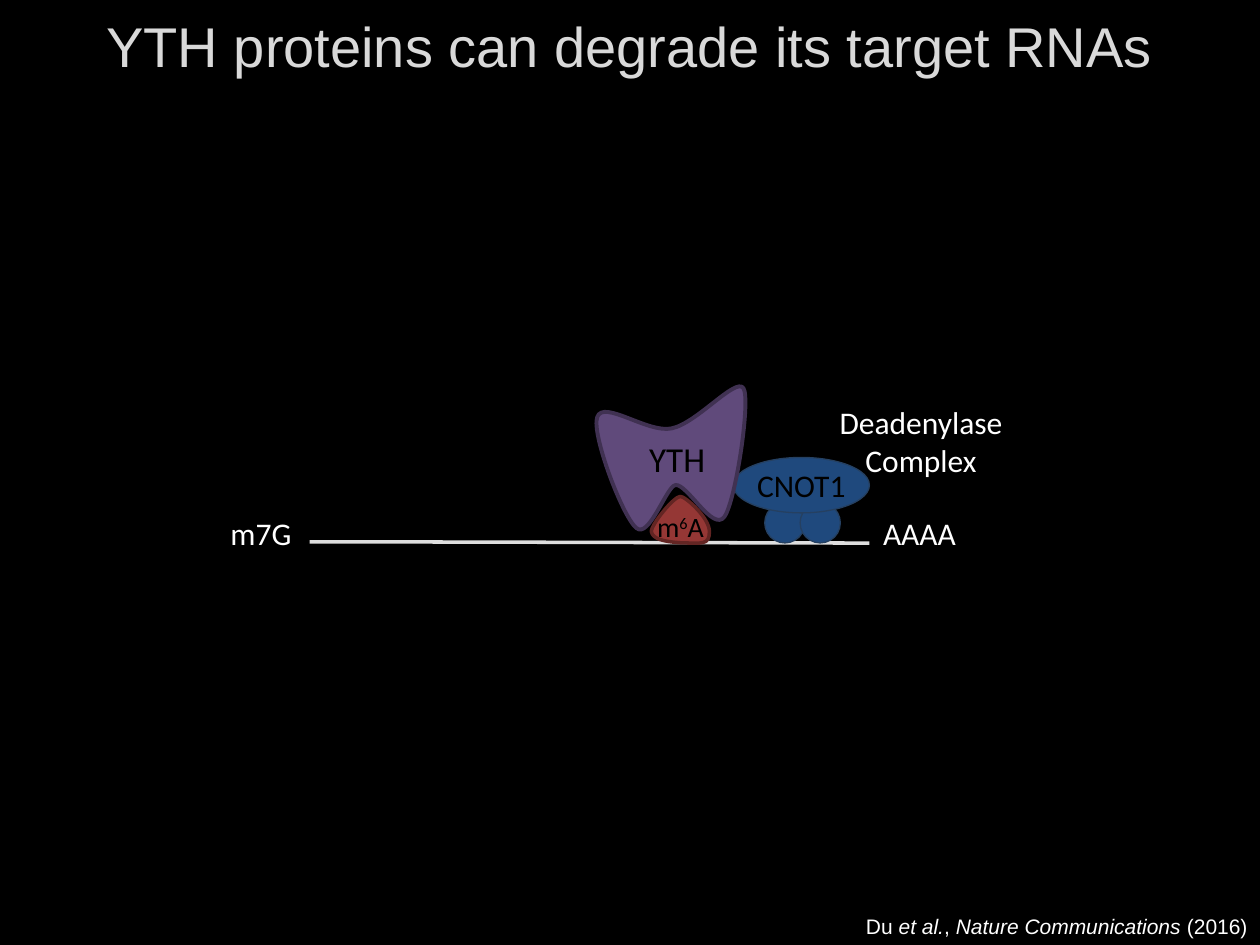
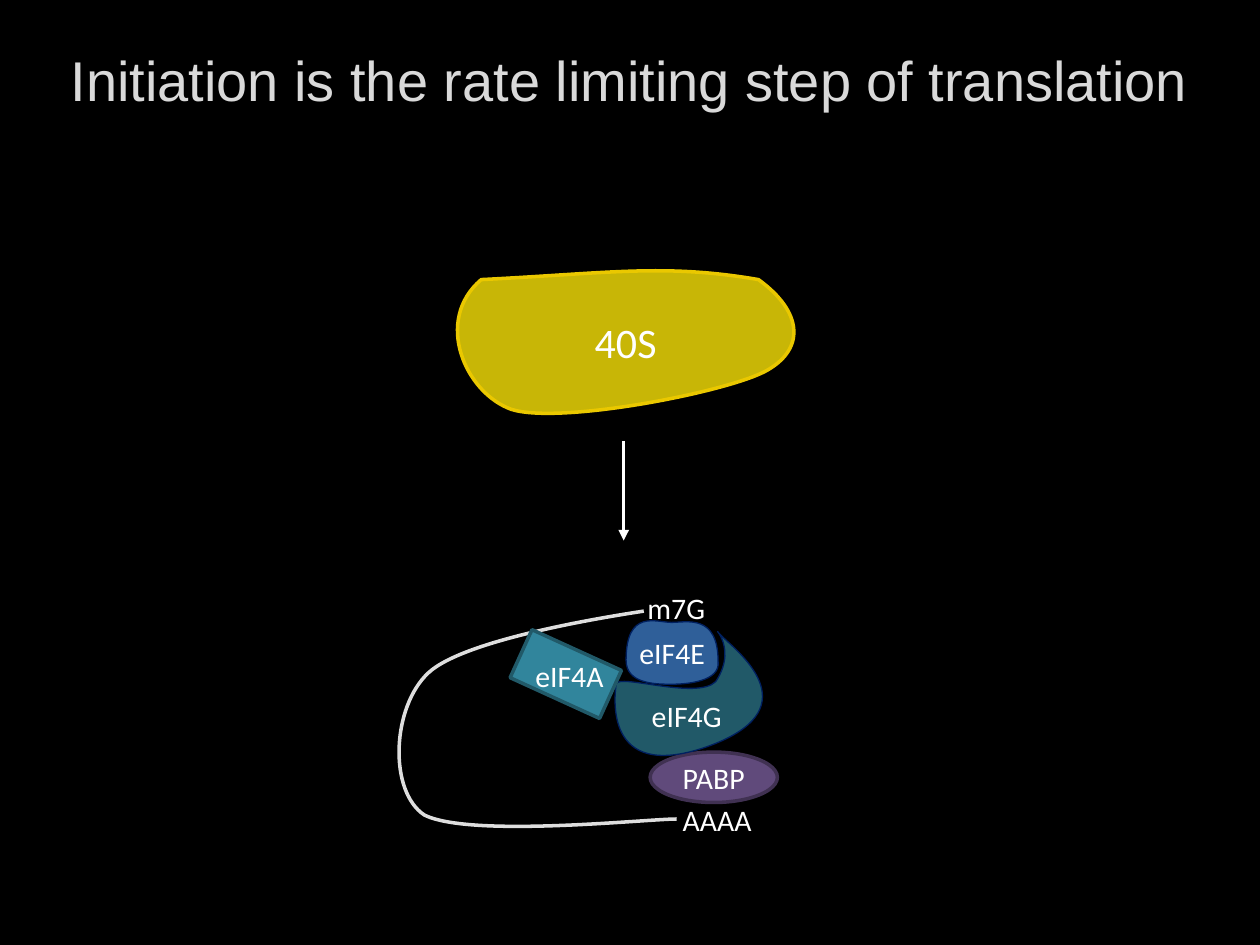
from dataclasses import dataclass
from lxml.etree import SubElement
from pptx import Presentation
from pptx.dml.color import RGBColor
from pptx.enum.shapes import MSO_CONNECTOR, MSO_SHAPE
from pptx.enum.text import MSO_ANCHOR as ANCHOR, MSO_AUTO_SIZE, PP_ALIGN as ALIGN
from pptx.oxml.ns import qn
from pptx.util import Pt


@dataclass(frozen=True)
class Theme:
    background: str = "000000"
    title: str = "D9D9D9"
    light: str = "FFFFFF"
    dark: str = "000000"
    strand: str = "DEDEDE"
    purple: tuple = ("604A7B", "403152")
    navy: tuple = ("1F497D", "254061")
    red: tuple = ("953735", "632523")
    blue: tuple = ("2F5F99", "002060")
    deep_teal: tuple = ("215968", "002060")
    teal: tuple = ("31859C", "215968")
    yellow: tuple = ("C8B606", "EAC800")
    heading_font: str = "Arial"
    label_font: str = "Calibri"
    title_size: int = 32
    subunit_size: int = 24
    yth_size: int = 20
    label_size: int = 18
    factor_size: int = 17
    mark_size: int = 16
    citation_size: int = 12


THEME = Theme()
NO_INSETS = dict(margin_left=0, margin_top=0, margin_right=0, margin_bottom=0)


def assign(target, values):
    for key, value in values.items():
        setattr(target, key, value)


def write(shape, runs, size, color, align=ALIGN.CENTER, font=THEME.label_font, **frame):
    """Fill a shape with one paragraph; runs is a string or (text, format) pairs."""
    assign(shape.text_frame, dict(word_wrap=True) | frame)
    paragraph = shape.text_frame.paragraphs[0]
    paragraph.alignment = align
    for text, extra in [(runs, {})] if isinstance(runs, str) else runs:
        run = paragraph.add_run()
        run.text = text
        assign(run.font, dict(name=font, size=Pt(size)) | extra)
        run.font.color.rgb = RGBColor.from_string(color)
    return paragraph


def paint(shape, colors, width):
    fill, line = colors
    shape.shadow.inherit = False
    if fill:
        shape.fill.solid()
        shape.fill.fore_color.rgb = RGBColor.from_string(fill)
    else:
        shape.fill.background()
    shape.line.color.rgb = RGBColor.from_string(line)
    shape.line.width = Pt(width)


class Region:
    """Places parts, in points, relative to its own top left corner."""

    def __init__(self, slide, left, top):
        self.shapes, self.left, self.top = slide.shapes, left, top

    def frame(self, x, y, width, height):
        return Pt(self.left + x), Pt(self.top + y), Pt(width), Pt(height)

    def label(self, text, box, size, align=ALIGN.LEFT):
        write(self.shapes.add_textbox(*self.frame(*box)), text, size, THEME.light, align)

    def preset(self, kind, box, colors, width):
        shape = self.shapes.add_shape(kind, *self.frame(*box))
        paint(shape, colors, width)
        return shape

    def curve(self, start, segments, colors, width, closed=True):
        """Draw cubic curves; each segment is x1, y1, x2, y2, x, y."""
        def to_emu(x, y):
            return Pt(self.left + x), Pt(self.top + y)

        # Sampled points give the outline its true extents
        current, samples, curves = to_emu(*start), [], []
        for x1, y1, x2, y2, x3, y3 in segments:
            knots = [current, to_emu(x1, y1), to_emu(x2, y2), to_emu(x3, y3)]
            for step in range(1, 21):
                t = step / 20
                weights = (1 - t) ** 3, 3 * t * (1 - t) ** 2, 3 * t * t * (1 - t), t ** 3
                samples.append(tuple(sum(w * k[axis] for w, k in zip(weights, knots))
                                     for axis in (0, 1)))
            curves.append(knots[1:])
            current = knots[3]
        builder = self.shapes.build_freeform(*to_emu(*start), scale=1.0)
        builder.add_line_segments(samples, close=closed)
        shape = builder.convert_to_shape()

        # Exchange the straight steps for smooth curves
        outline = shape._element.find(".//" + qn("a:path"))
        for step in list(outline)[1:]:
            outline.remove(step)
        for points in curves:
            bezier = SubElement(outline, qn("a:cubicBezTo"))
            for x, y in points:
                SubElement(bezier, qn("a:pt"), x=str(x - shape.left), y=str(y - shape.top))
        if closed:
            SubElement(outline, qn("a:close"))
        paint(shape, colors, width)
        return shape


def add_title_slide(prs, text, height, bottom_inset=3.6):
    slide = prs.slides.add_slide(prs.slide_layouts[5])
    title = slide.shapes.title
    assign(title, dict(left=0, top=0, width=prs.slide_width, height=Pt(height)))
    write(title, text, THEME.title_size, THEME.title, font=THEME.heading_font,
          vertical_anchor=ANCHOR.MIDDLE, auto_size=MSO_AUTO_SIZE.NONE,
          margin_bottom=Pt(bottom_inset))
    return slide


def draw_degradation(slide, left, top):
    region = Region(slide, left, top)
    size = THEME.label_size

    # RNA strand with its two ends
    region.curve((57, 93.6), [(119.8, 93.6, 341.5, 94.3, 376.8, 94.3)],
                 (None, THEME.strand), 2, closed=False)
    region.label("AAAA", (377.5, 74.2, 80.6, 28.8), size)
    region.label("m7G", (4.6, 74.2, 56.9, 28.8), size)

    # Deadenylase complex
    region.label("Deadenylase Complex", (337.2, 10.8, 138.2, 51.1), size, ALIGN.CENTER)
    for x in (317, 337.2):
        region.preset(MSO_SHAPE.OVAL, (x, 71.3, 23, 23), THEME.navy, 0.75)
    cnot1 = region.preset(MSO_SHAPE.OVAL, (299, 45.4, 77.8, 31.7), THEME.navy, 0.75)
    write(cnot1, "CNOT1", size, THEME.dark, vertical_anchor=ANCHOR.MIDDLE, **NO_INSETS)

    # YTH reader on the methyl mark
    yth = region.curve((221.3, 22.3), [
        (224.9, 12.2, 250.1, 31.7, 263.8, 28.8),
        (278.2, 25.9, 300.5, -0.7, 304.8, 5.8),
        (309.1, 12.2, 300.5, 69.8, 294, 79.2),
        (287.5, 88.6, 272.4, 59.8, 265.9, 61.2),
        (260.9, 61.9, 250.8, 92.2, 243.6, 85.7),
        (235.7, 79.2, 217.7, 31.7, 221.3, 22.3)], THEME.purple, 2.25)
    write(yth, "YTH", THEME.yth_size, THEME.dark, vertical_anchor=ANCHOR.MIDDLE,
          **NO_INSETS | dict(margin_left=Pt(7.2)))
    methyl_mark = region.curve((252.2, 87.8), [
        (252.2, 83.5, 265.2, 67.7, 268.8, 67.7),
        (271.7, 67.7, 285.4, 79.9, 285.4, 87.8),
        (285.4, 95.8, 281, 94.3, 270.2, 94.3),
        (259.4, 93.6, 253, 92.2, 252.2, 87.8)], THEME.red, 2)
    mark_text = write(methyl_mark, [("m", {}), ("6", {}), ("A", {})], THEME.mark_size,
                      THEME.dark, vertical_anchor=ANCHOR.BOTTOM, **NO_INSETS)
    mark_text.runs[1]._r.get_or_add_rPr().set("baseline", "30000")


def add_citation(slide, left, top, width, height):
    citation = slide.shapes.add_textbox(Pt(left), Pt(top), Pt(width), Pt(height))
    italic = dict(italic=True)
    write(citation, [("Du ", {}), ("et al.", italic), (", ", {}),
                     ("Nature Communications", italic), (" (2016)", {})],
          THEME.citation_size, THEME.light, ALIGN.RIGHT, THEME.heading_font)


def draw_initiation_complex(slide, left, top):
    region = Region(slide, left, top)
    size = THEME.factor_size
    centred = NO_INSETS | dict(vertical_anchor=ANCHOR.MIDDLE)

    # Looped messenger RNA
    region.curve((151.9, 25.2), [
        (133.2, 28.1, 49.7, 41, 28.8, 60.5),
        (7.9, 79.9, 5.8, 128.2, 26.6, 141.8),
        (53.3, 154.8, 153.4, 144, 170.6, 144)], (None, THEME.strand), 2, closed=False)
    region.label("AAAA", (167, 130.3, 71.3, 28.1), size)
    region.label("m7G", (146.9, 9.4, 71.3, 28.1), size)

    # Tail binding protein
    pabp = region.preset(MSO_SHAPE.OVAL, (155.5, 105.8, 72.7, 28.8), THEME.purple, 2)
    write(pabp, "PABP", size, THEME.light, **centred)

    # Initiation factors
    eif4e = region.curve((141.8, 53.3), [
        (141.8, 23.8, 159.1, 31.7, 167.8, 31.7),
        (176.4, 31.7, 194.4, 26.6, 194.4, 54),
        (195.8, 65.5, 176.4, 67, 167.8, 67),
        (159.1, 67, 141.8, 67, 141.8, 53.3)], THEME.blue, 0.75)
    write(eif4e, "eIF4E", size, THEME.light, **centred)
    region.curve((187.2, 103), [
        (128.2, 123.1, 135.4, 72.7, 136.1, 67),
        (136.8, 60.5, 182.2, 76.3, 193, 65.5),
        (207.4, 43.9, 186.5, 30.2, 197.3, 40.3),
        (208.1, 50.4, 247, 82.1, 187.2, 103)], THEME.deep_teal, 0.75)
    region.label("eIF4G", (141.1, 71.3, 70.6, 28.1), size, ALIGN.CENTER)
    eif4a = region.preset(MSO_SHAPE.RECTANGLE, (79.2, 46.1, 56.2, 30.2), THEME.teal, 2)
    eif4a.rotation = 24.5
    region.label("eIF4A", (82.8, 48.2, 54.7, 28.1), size)


def draw_small_subunit(slide, left, top):
    region = Region(slide, left, top)
    subunit = region.curve((32.3, 84), [
        (5.7, 74.6, -12.3, 32.9, 15, 9.8),
        (87.8, 6.2, 119.4, 0.5, 173.4, 9.8),
        (199.4, 28.6, 200.1, 50.2, 177, 62.4),
        (153.3, 74.6, 59.7, 92.6, 32.3, 84)], THEME.yellow, 2)
    write(subunit, "40S", THEME.subunit_size, THEME.light, vertical_anchor=ANCHOR.MIDDLE)


def draw_recruitment_arrow(slide, x, top, bottom):
    arrow = slide.shapes.add_connector(MSO_CONNECTOR.STRAIGHT, Pt(x), Pt(top), Pt(x), Pt(bottom))
    arrow.line.color.rgb = RGBColor.from_string(THEME.light)
    arrow.line.width = Pt(2)
    SubElement(arrow.line._get_or_add_ln(), qn("a:tailEnd"), type="triangle")
    SubElement(arrow._element.spPr, qn("a:effectLst"))


def main():
    prs = Presentation()
    assign(prs, dict(slide_width=Pt(720), slide_height=Pt(540)))
    backdrop = prs.slide_master.background.fill
    backdrop.solid()
    backdrop.fore_color.rgb = RGBColor.from_string(THEME.background)

    degradation = add_title_slide(prs, "YTH proteins can degrade its target RNAs", 88.6, 41)
    draw_degradation(degradation, 120, 216)
    add_citation(degradation, 299.5, 518.4, 420.5, 21.6)

    initiation = add_title_slide(prs, "Initiation is the rate limiting step of translation", 90)
    draw_initiation_complex(initiation, 216, 324)
    draw_small_subunit(initiation, 260, 150)
    draw_recruitment_arrow(initiation, 356.4, 252, 308.9)
    prs.save("out.pptx")


if __name__ == "__main__":
    main()
